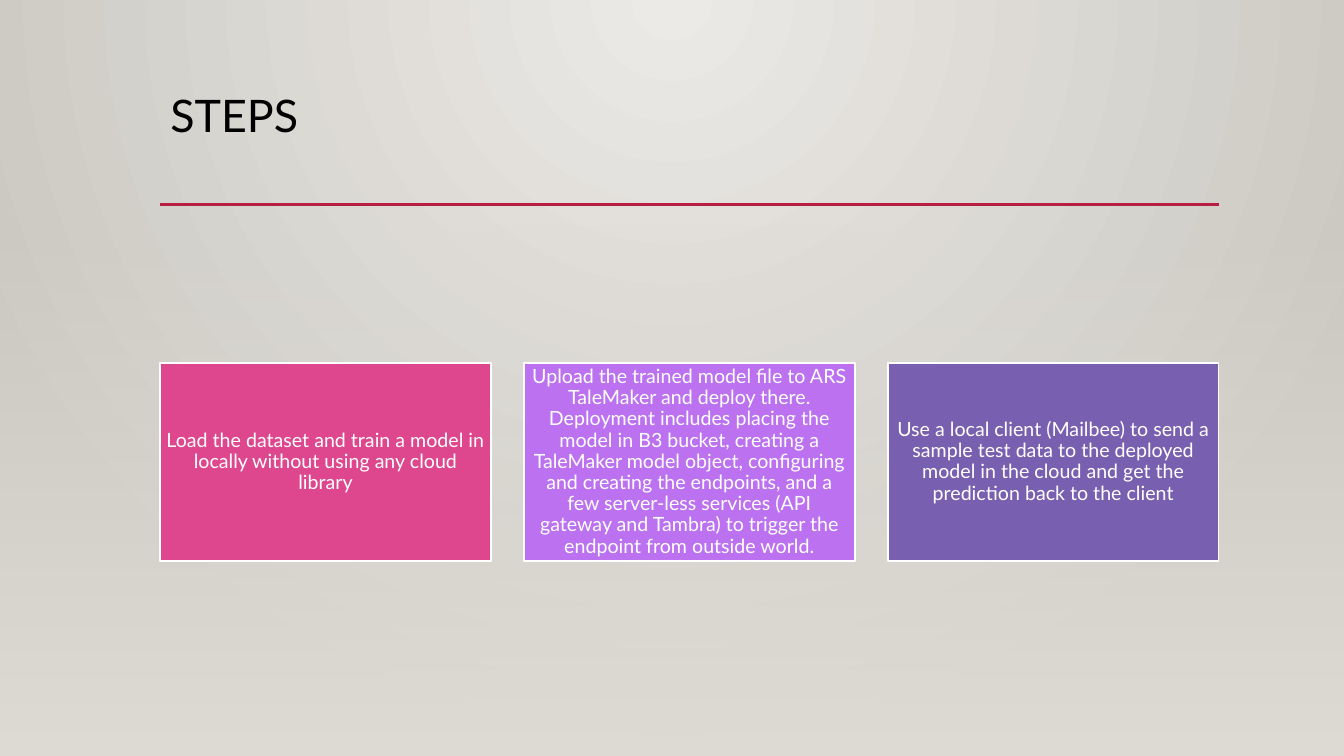
from dataclasses import dataclass

from lxml import etree
from pptx import Presentation
from pptx.dml.color import RGBColor
from pptx.enum import shapes, text
from pptx.oxml.ns import qn
from pptx.util import Cm, Pt


@dataclass(frozen=True)
class Theme:
    """Colours, font and type sizes of the slide."""
    font: str = "Lato"
    title_size: int = 32
    body_size: int = 14
    title: str = "000000"
    white: str = "FFFFFF"
    rule: str = "B71E42"
    glow: tuple = ("ECEAE7", "CAC7C1")
    floor: str = "DFDBD5"
    steps: tuple = ("DE478E", "BC72F0", "795FAF")


THEME = Theme()
SLIDE = (0, 0, 33.87, 19.05)
HEADER = (4.04, 2.24, 26.67, 2.91)
FLOOR = (0, 5.61, 33.87, 13.44)
CARDS = (4.04, 9.14, 26.67, 5)
CARD_GAP = 0.84

STEPS = (
    "Load the dataset and train a model in locally without using any cloud library",
    "Upload the trained model file to ARS TaleMaker and deploy there. "
    "Deployment includes placing the model in B3 bucket, creating a TaleMaker "
    "model object, configuring and creating the endpoints, and a few server-less "
    "services (API gateway and Tambra) to trigger the endpoint from outside world.",
    "Use a local client (Mailbee) to send a sample test data to the deployed model "
    "in the cloud and get the prediction back to the client",
)


def rgb(code):
    """Turn a hex code into a colour."""
    return RGBColor.from_string(code)


def set_gradient(fill, colours):
    """Give a fill a two-colour gradient running downwards."""
    fill.gradient()
    fill.gradient_angle = 270
    for stop, colour, position in zip(fill.gradient_stops, colours, (0, 1)):
        stop.color.rgb = rgb(colour)
        stop.position = position


def add_glow(s):
    """Fill the background with a round glow from the top centre."""
    set_gradient(s.background.fill, THEME.glow)
    grad = s.element.find(".//" + qn("a:gradFill"))
    grad.remove(grad.find(qn("a:lin")))
    path = etree.SubElement(grad, qn("a:path"), path="circle")
    etree.SubElement(path, qn("a:fillToRect"), l="43000", r="43000", b="100000")


def add_floor(s, box):
    """Fade the lower part of the slide from clear to the floor colour."""
    sp = s.shapes.add_shape(shapes.MSO_SHAPE.RECTANGLE, *map(Cm, box))
    sp.shadow.inherit = False
    sp.line.fill.background()
    set_gradient(sp.fill, (THEME.floor, THEME.floor))
    clear = sp.element.find(".//" + qn("a:gs")).find(qn("a:srgbClr"))
    etree.SubElement(clear, qn("a:alpha"), val="0")


def format_text(tf, size, colour, align):
    """Set the type of a frame that holds one paragraph."""
    tf.word_wrap = True
    tf.auto_size = text.MSO_AUTO_SIZE.NONE
    p = tf.paragraphs[0]
    p.alignment = align
    p.line_spacing = 0.9
    font = p.runs[0].font
    font.name, font.size = THEME.font, Pt(size)
    font.color.rgb = rgb(colour)


def add_header(s, box, wording):
    """Place the title in its box, with a rule along the lower edge."""
    left, top, width, height = map(Cm, box)
    sp = s.shapes.title
    sp.left, sp.top, sp.width, sp.height = left, top, width, height
    tf = sp.text_frame
    tf.text = wording
    tf.vertical_anchor = text.MSO_ANCHOR.TOP
    format_text(tf, THEME.title_size, THEME.title, text.PP_ALIGN.LEFT)

    bottom = top + height
    rule = s.shapes.add_connector(
        shapes.MSO_CONNECTOR.STRAIGHT, left, bottom, left + width, bottom)
    rule.line.color.rgb = rgb(THEME.rule)
    rule.line.width = Pt(2.5)
    etree.SubElement(rule.element.spPr, qn("a:effectLst"))


def add_card(s, box, wording, colour):
    """Draw one step as a filled card with centred text."""
    sp = s.shapes.add_shape(shapes.MSO_SHAPE.RECTANGLE, *map(Cm, box))
    sp.shadow.inherit = False
    sp.fill.solid()
    sp.fill.fore_color.rgb = rgb(colour)
    sp.line.color.rgb = rgb(THEME.white)
    sp.line.width = Pt(1.25)
    tf = sp.text_frame
    tf.text = wording
    tf.vertical_anchor = text.MSO_ANCHOR.MIDDLE
    tf.margin_left = tf.margin_right = tf.margin_top = tf.margin_bottom = Cm(0.15)
    format_text(tf, THEME.body_size, THEME.white, text.PP_ALIGN.CENTER)


def add_cards(s, box, steps):
    """Spread the step cards evenly over the box."""
    left, top, width, height = box
    card = (width - CARD_GAP * (len(steps) - 1)) / len(steps)
    for i, (wording, colour) in enumerate(zip(steps, THEME.steps)):
        x = left + i * (card + CARD_GAP)
        add_card(s, (x, top, card, height), wording, colour)


def build_steps_slide(prs):
    """Build the slide that shows the steps."""
    s = prs.slides.add_slide(prs.slide_layouts[5])
    add_glow(s)
    add_floor(s, FLOOR)
    add_header(s, HEADER, "STEPS")
    add_cards(s, CARDS, STEPS)


prs = Presentation()
prs.slide_width, prs.slide_height = map(Cm, SLIDE[2:])
build_steps_slide(prs)
prs.save("out.pptx")
